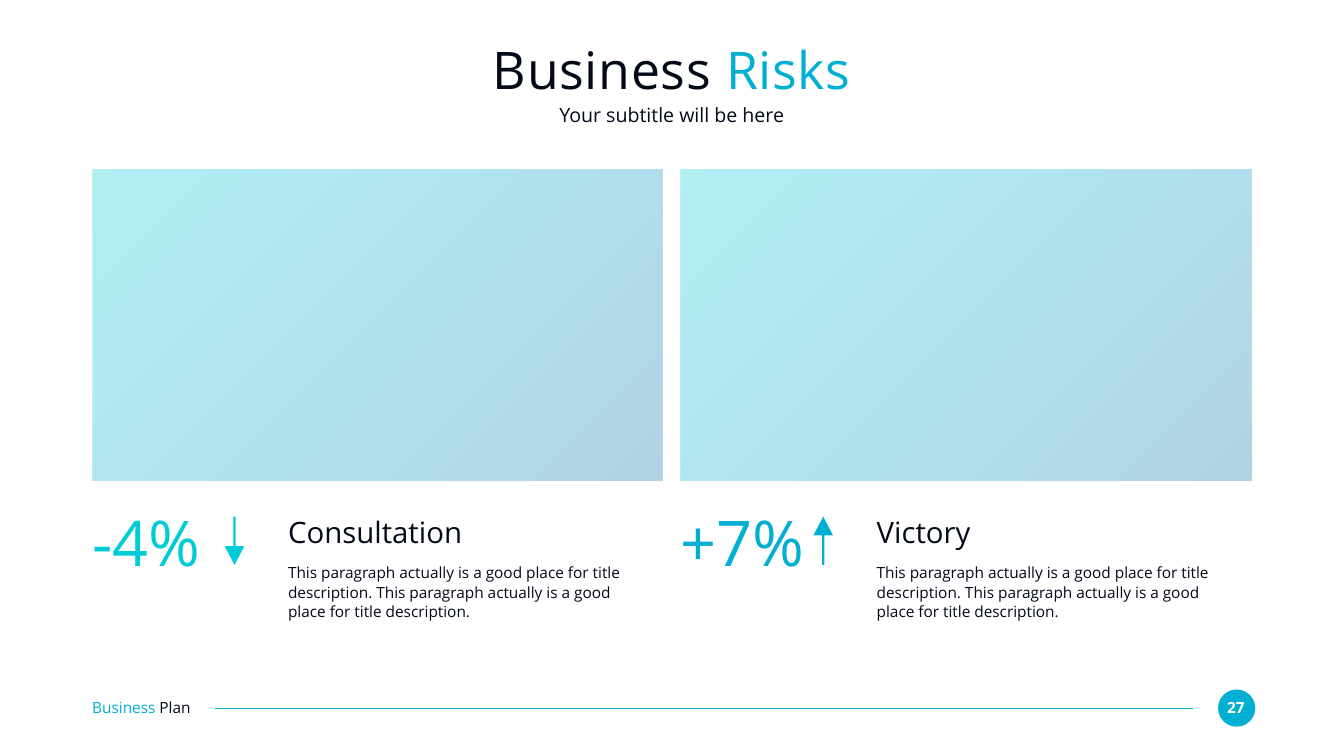
from lxml import etree
from pptx import Presentation
from pptx.dml.color import RGBColor
from pptx.enum.shapes import MSO_CONNECTOR, MSO_SHAPE
from pptx.enum.text import MSO_ANCHOR, PP_ALIGN
from pptx.oxml.ns import qn
from pptx.util import Inches, Pt

RECT, OVAL, ARROW = MSO_SHAPE.RECTANGLE, MSO_SHAPE.OVAL, MSO_SHAPE.DOWN_ARROW
STRAIGHT = MSO_CONNECTOR.STRAIGHT
LEFT, CENTER = PP_ALIGN.LEFT, PP_ALIGN.CENTER
MIDDLE = MSO_ANCHOR.MIDDLE

WHITE = RGBColor(0xFF, 0xFF, 0xFF)
INK = RGBColor(0x05, 0x0A, 0x19)
TEAL = RGBColor(0x00, 0xCC, 0xD7)
CYAN = RGBColor(0x00, 0xAF, 0xD2)
BLUE = RGBColor(0x00, 0x92, 0xC3)
NAVY = RGBColor(0x00, 0x6D, 0xA4)

FONT = "Open Sans"
WIDTH, HEIGHT = 26.67, 15
COL, ROW = WIDTH / 100, HEIGHT / 100
MARGIN = 6.86
BODY = ("This paragraph actually is a good place for title description. "
        "This paragraph actually is a good place for title description.")


def grid(x, y, w, h):
    return [Inches(x * COL), Inches(y * ROW), Inches(w * COL), Inches(h * ROW)]


def write(sp, runs, size, align=LEFT, spacing=1.0, bold=False):
    tf = sp.text_frame
    frame = {"word_wrap": True, "vertical_anchor": MIDDLE, "margin_left": 0,
             "margin_top": 0, "margin_right": 0, "margin_bottom": 0}
    for name, value in frame.items():
        setattr(tf, name, value)
    p = tf.paragraphs[0]
    p.alignment, p.line_spacing, p.space_before = align, spacing, Pt(0)
    for text, color in runs:
        r = p.add_run()
        r.text = text
        for name, value in {"name": FONT, "size": Pt(size), "bold": bold}.items():
            setattr(r.font, name, value)
        r.font.color.rgb = color
    return p


def add_text(s, box, runs, size, **style):
    write(s.shapes.add_textbox(*grid(*box)), runs, size, **style)


def add_shape(s, kind, box, color):
    sp = s.shapes.add_shape(kind, *grid(*box))
    sp.shadow.inherit = False
    sp.line.fill.background()
    sp.fill.solid()
    sp.fill.fore_color.rgb = color
    return sp


def fade(sp):
    sp.fill.gradient()
    sp.fill.gradient_angle = 315
    stops = sp.fill._xPr.find(qn("a:gradFill")).find(qn("a:gsLst"))
    for stop in list(stops):
        stops.remove(stop)
    for pos, color in zip((0, 33, 66, 100), (TEAL, CYAN, BLUE, NAVY)):
        stop = etree.SubElement(stops, qn("a:gs"), pos=str(pos * 1000))
        rgb = etree.SubElement(stop, qn("a:srgbClr"), val=str(color))
        etree.SubElement(rgb, qn("a:alpha"), val="30000")


def place(sp, box):
    for name, value in zip(("left", "top", "width", "height"), grid(*box)):
        setattr(sp, name, value)


def header(s, x, y, w):
    title, subtitle = s.shapes.title, s.placeholders[1]
    place(title, (x, y, w, 8.47))
    p = write(title, [("Business ", INK), ("Risks", CYAN)], 74, CENTER)
    for r in p.runs:
        r.font._element.set("spc", "100")
    place(subtitle, (x, y + 8.66, w, 3.27))
    p = write(subtitle, [("Your subtitle will be here", INK)], 28, CENTER)
    pPr = p._p.get_or_add_pPr()
    pPr.set("marL", "0")
    pPr.set("indent", "0")
    etree.SubElement(pPr, qn("a:buNone"))


def card(s, x, y, w, value, color, rotation, heading):
    fade(add_shape(s, RECT, (x, y, w, 41.2), TEAL))
    add_text(s, (x, y + 44.13, 9.56, 10.07), [(value, color)], 90)
    arrow = add_shape(s, ARROW, (x + 9.86, y + 45.93, 1.46, 6.4), color)
    arrow.adjustments[0], arrow.adjustments[1] = 0.11, 0.96
    arrow.rotation = rotation
    add_text(s, (x + 14.57, y + 45.53, 25.95, 4.73), [(heading, INK)], 42)
    add_text(s, (x + 14.57, y + 51.4, 25.95, 8.87), [(BODY, INK)], 22, spacing=1.05)


def footer(s, x, y, w):
    add_shape(s, OVAL, (x + w - 2.77, y, 2.77, 4.93), CYAN)
    add_text(s, (x + w - 2.55, y + 1.13, 2.21, 2.47), [("27", WHITE)], 22,
             align=CENTER, bold=True)
    left, top, length, _ = grid(x + 9.15, y + 2.47, w - 13.8, 0)
    line = s.shapes.add_connector(STRAIGHT, left + length, top, left, top)
    line.line.color.rgb = CYAN
    line.line.width = Pt(1.5)
    etree.SubElement(line._element.spPr, qn("a:effectLst"))
    add_text(s, (x, y + 1.07, 9.71, 2.47), [("Business ", CYAN), ("Plan", INK)], 22)


def main():
    prs = Presentation()
    prs.slide_width, prs.slide_height = Inches(WIDTH), Inches(HEIGHT)
    s = prs.slides.add_slide(prs.slide_layouts[1])
    header(s, MARGIN, 4.87, 86.24)
    cards = [("-4%", TEAL, 0, "Consultation"), ("+7%", CYAN, 180, "Victory")]
    for i, item in enumerate(cards):
        card(s, MARGIN + 43.8 * i, 22.4, 42.44, *item)
    footer(s, MARGIN, 91.2, 86.54)
    prs.save("out.pptx")


if __name__ == "__main__":
    main()
